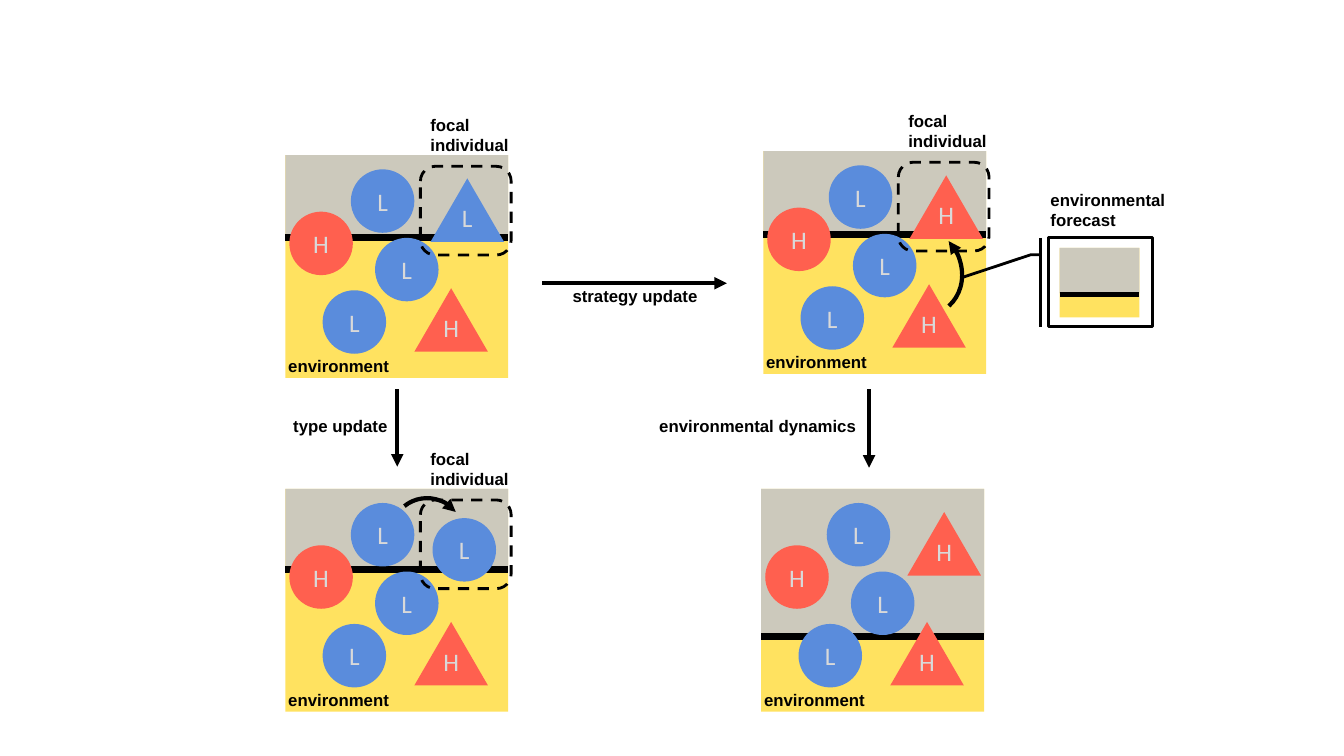
from dataclasses import dataclass

from pptx import Presentation
from pptx.dml.color import RGBColor
from pptx.enum.dml import MSO_LINE
from pptx.enum.shapes import MSO_CONNECTOR, MSO_SHAPE
from pptx.enum.text import MSO_ANCHOR, PP_ALIGN
from pptx.oxml.ns import qn
from pptx.oxml.xmlchemy import OxmlElement
from pptx.util import Inches, Pt

RECT, ROUNDED = MSO_SHAPE.RECTANGLE, MSO_SHAPE.ROUNDED_RECTANGLE
CIRCLE, TRIANGLE = MSO_SHAPE.OVAL, MSO_SHAPE.ISOSCELES_TRIANGLE
ARC = MSO_SHAPE.ARC
CALLOUT = MSO_SHAPE.LINE_CALLOUT_2_BORDER_AND_ACCENT_BAR
STRAIGHT = MSO_CONNECTOR.STRAIGHT
DASH = MSO_LINE.DASH
MIDDLE, CENTER = MSO_ANCHOR.MIDDLE, PP_ALIGN.CENTER

COLORS = {"ground": "FFE260", "sky": "C7C7C7", "L": "5A8CDC", "H": "FF604F",
          "letter": "D9D9D9", "ink": "000000", "paper": "FFFFFF"}
SIDE = 2.21
WIDTHS = {CIRCLE: 0.63, TRIANGLE: 0.73}
MEMBER_HEIGHT = 0.63


@dataclass
class Member:
    """One individual, placed relative to its panel."""
    strategy: str
    form: int
    x: float
    y: float


@dataclass
class Panel:
    """One state of the population and its environment."""
    left: float
    top: float
    sky: float
    divider: float
    focal: Member
    framed: bool = True


@dataclass
class Arrow:
    """A straight step arrow."""
    start: tuple[float, float]
    end: tuple[float, float]


@dataclass
class Label:
    """Bold text, one paragraph per line."""
    lines: tuple[str, ...]
    left: float
    top: float
    width: float


GROUP = [Member("L", CIRCLE, 0.65, 0.14), Member("H", CIRCLE, 0.04, 0.56),
         Member("L", CIRCLE, 0.37, 1.34), Member("L", CIRCLE, 0.89, 0.82),
         Member("H", TRIANGLE, 1.28, 1.32)]
PANELS = [Panel(2.83, 1.54, 0.82, 0.82, Member("L", TRIANGLE, 1.44, 0.23)),
          Panel(7.57, 1.5, 0.82, 0.83, Member("H", TRIANGLE, 1.45, 0.24)),
          Panel(2.83, 4.85, 0.82, 0.8, Member("L", CIRCLE, 1.46, 0.29)),
          Panel(7.55, 4.85, 1.45, 1.46, Member("H", TRIANGLE, 1.45, 0.23), False)]
ARROWS = [Arrow((5.38, 2.81), (7.21, 2.81)), Arrow((3.94, 3.86), (3.94, 4.63)),
          Arrow((8.62, 3.86), (8.62, 4.64))]
LABELS = [Label(("strategy update",), 5.58, 2.79, 1.45),
          Label(("type update",), 2.81, 4.08, 1.15),
          Label(("environmental dynamics",), 6.44, 4.08, 2.17),
          Label(("environmental", "forecast"), 10.32, 1.83, 1.35)]


def rgb(name: str) -> RGBColor:
    """Look up a named colour."""
    return RGBColor.from_string(COLORS[name])


def add_form(form: int, left: float, top: float, width: float, height: float,
             fill: str = "", weight: float = 0):
    """Add a preset shape; no fill name or line weight means none."""
    shape = page.shapes.add_shape(form, Inches(left), Inches(top),
                                  Inches(width), Inches(height))
    shape.shadow.inherit = False
    if fill:
        shape.fill.solid()
        shape.fill.fore_color.rgb = rgb(fill)
    else:
        shape.fill.background()
    if weight:
        shape.line.color.rgb = rgb("ink")
        shape.line.width = Pt(weight)
    else:
        shape.line.fill.background()
    return shape


def add_arrowhead(shape, end: str) -> None:
    """Put a triangle on the headEnd or tailEnd of a line."""
    head = OxmlElement(f"a:{end}")
    head.set("type", "triangle")
    shape.element.spPr.find(qn("a:ln")).append(head)


def add_line(start: tuple[float, float], end: tuple[float, float], weight: float):
    """Add a straight black line."""
    line = page.shapes.add_connector(STRAIGHT, *map(Inches, start + end))
    line.line.color.rgb = rgb("ink")
    line.line.width = Pt(weight)
    line.element.spPr.append(OxmlElement("a:effectLst"))
    return line


def add_environment(left: float, top: float, width: float, height: float,
                    sky: float, divider: float, weight: float) -> None:
    """Draw the ground, the translucent sky and the line between them."""
    add_form(RECT, left, top, width, height, "ground")
    band = add_form(RECT, left, top, width, sky, "sky")
    alpha = OxmlElement("a:alpha")
    alpha.set("val", "90000")
    band.element.spPr.find(f"{qn('a:solidFill')}/{qn('a:srgbClr')}").append(alpha)
    add_line((left, top + divider), (left + width, top + divider), weight)


def add_member(panel: Panel, member: Member) -> None:
    """Draw one individual with its strategy letter."""
    shape = add_form(member.form, panel.left + member.x, panel.top + member.y,
                     WIDTHS[member.form], MEMBER_HEIGHT, member.strategy)
    frame = shape.text_frame
    frame.margin_left = frame.margin_right = 0
    if member.form == TRIANGLE:
        frame.margin_top, frame.margin_bottom = Inches(-0.1), Inches(0.07)
    frame.vertical_anchor = MIDDLE
    para = frame.paragraphs[0]
    para.alignment = CENTER
    span = para.add_run()
    span.text = member.strategy
    span.font.size, span.font.name = Pt(18), "Calibri"
    span.font.color.rgb = rgb("letter")


def add_label(label: Label) -> None:
    """Write a bold label."""
    height = 0.1 + 0.2 * len(label.lines)
    box = page.shapes.add_textbox(Inches(label.left), Inches(label.top),
                                  Inches(label.width), Inches(height))
    frame = box.text_frame
    frame.word_wrap = False
    for index, line in enumerate(label.lines):
        para = frame.add_paragraph() if index else frame.paragraphs[0]
        span = para.add_run()
        span.text = line
        span.font.size, span.font.name, span.font.bold = Pt(12), "Arial", True
        span.font.color.rgb = rgb("ink")


def add_panel(panel: Panel) -> None:
    """Draw an environment, its individuals and the focal frame."""
    left, top = panel.left, panel.top
    add_environment(left, top, SIDE, SIDE, panel.sky, panel.divider, 5)
    for member in GROUP + [panel.focal]:
        add_member(panel, member)
    add_label(Label(("environment",), left - 0.07, top + 1.94, 1.21))
    if panel.framed:
        frame = add_form(ROUNDED, left + 1.34, top + 0.11, 0.9, 0.88, weight=2)
        frame.line.dash_style = DASH
        add_label(Label(("focal", "individual"), left + 1.34, top - 0.45, 0.99))


def add_curve(left: float, top: float, width: float, height: float,
              rotation: float, end: str) -> None:
    """Draw a curved imitation arrow."""
    curve = add_form(ARC, left, top, width, height, weight=3)
    curve.rotation = rotation
    add_arrowhead(curve, end)


def add_forecast() -> None:
    """Draw the callout with the forecast environment."""
    callout = add_form(CALLOUT, 10.4, 2.36, 1.03, 0.88, "paper", 2)
    for index, value in enumerate((0.19, -0.08, 0.19, -0.17, 0.45, -0.84)):
        callout.adjustments[index] = value
    add_environment(10.51, 2.46, 0.79, 0.69, 0.45, 0.46, 3.5)


deck = Presentation()
deck.slide_width, deck.slide_height = Inches(13.33), Inches(7.5)
page = deck.slides.add_slide(deck.slide_layouts[6])
for state in PANELS:
    add_panel(state)
for arrow in ARROWS:
    add_arrowhead(add_line(arrow.start, arrow.end, 3), "tailEnd")
add_curve(8.61, 2.25, 0.96, 0.86, 48, "headEnd")
add_curve(3.88, 4.94, 0.72, 0.73, 321.1, "tailEnd")
add_forecast()
for caption in LABELS:
    add_label(caption)
deck.save("out.pptx")
